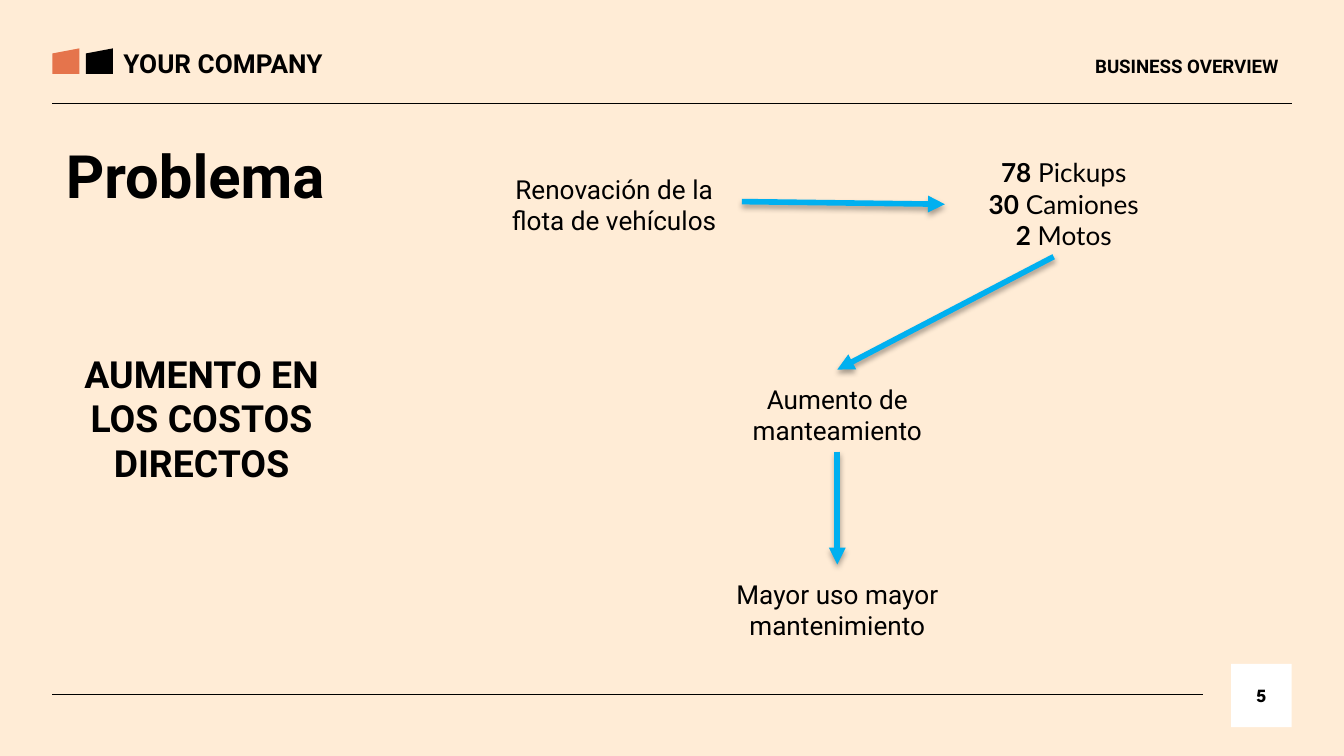
from lxml import etree
from pptx import Presentation
from pptx.dml.color import RGBColor
from pptx.enum.shapes import MSO_CONNECTOR, MSO_SHAPE
from pptx.enum.text import MSO_ANCHOR, PP_ALIGN
from pptx.oxml.ns import qn
from pptx.util import Inches, Pt

LEFT, CENTER, RIGHT = PP_ALIGN.LEFT, PP_ALIGN.CENTER, PP_ALIGN.RIGHT
TOP, MIDDLE = MSO_ANCHOR.TOP, MSO_ANCHOR.MIDDLE
RECTANGLE, SLANTED = MSO_SHAPE.RECTANGLE, MSO_SHAPE.FLOWCHART_MANUAL_INPUT
STRAIGHT = MSO_CONNECTOR.STRAIGHT

COLORS = {"background": "FFECD6", "ink": "000000", "accent": "E5744C",
          "arrow": "00B0F0", "badge": "FFFFFF"}

# Content: text, place (left, top, width, height), format
TITLE = ("Problema", (0.39, 0.93, 4, 0.63), dict(size=32, bold=True))
STEP_SIZE = (1.92, 0.61)
FLOW_X = 5.27
STEPS = [
    ("Renovación de la flota de vehículos", (3.61, 1.19)),
    ("Aumento de manteamiento", (FLOW_X, 2.75)),
    ("Mayor uso mayor mantenimiento", (FLOW_X, 4.2)),
]
LABELS = [
    ("BUSINESS OVERVIEW", (6.89, 0.26, 2.72, 0.47),
     dict(size=10, bold=True, align=RIGHT, anchor=MIDDLE)),
    ("YOUR COMPANY", (0.82, 0.25, 1.87, 0.44), dict(size=14, bold=True)),
    ("AUMENTO EN LOS COSTOS DIRECTOS", (0.38, 2.51, 2.24, 1.33),
     dict(size=20, bold=True, align=CENTER)),
]
FLEET = [("78", " Pickups"), ("30", " Camiones"), ("2", " Motos")]
FLEET_PLACE = (7.03, 1.12, 1.62, 0.79)
PAGE_NUMBER, PAGE_PLACE = "5", (9.16, 4.94, 0.45, 0.47)
MARGIN = 0.39
RULES = [(9.61, 0.77, MARGIN, 0.77), (8.95, 5.17, MARGIN, 5.17)]
FLOW_MIDDLE = FLOW_X + STEP_SIZE[0] / 2
ARROWS = [(5.52, 1.5, 7.03, 1.52), (7.84, 1.91, FLOW_MIDDLE, 2.75),
          (FLOW_MIDDLE, 3.36, FLOW_MIDDLE, 4.2)]
MARK_COLORS = ["accent", "ink"]

# Widescreen 16:9 slide
prs = Presentation()
prs.slide_width = Inches(10)
prs.slide_height = prs.slide_width * 9 // 16
slide = prs.slides.add_slide(prs.slide_layouts[5])


def rgb(name):
    return RGBColor.from_string(COLORS[name])


def inches(values):
    return [Inches(value) for value in values]


def write(shape, paragraphs, size=14, font="Roboto", bold=False,
          align=LEFT, anchor=TOP, margin=0, indent=0):
    """Fill a shape; each paragraph is a string or a list of (text, bold)."""
    frame = shape.text_frame
    frame.word_wrap = True
    frame.vertical_anchor = anchor
    frame.margin_left = frame.margin_right = Inches(0.1)
    frame.margin_top = frame.margin_bottom = Inches(0.1)
    for i, content in enumerate(paragraphs):
        paragraph = frame.add_paragraph() if i else frame.paragraphs[0]
        paragraph.alignment = align
        paragraph.line_spacing = 1.0
        paragraph.space_before = paragraph.space_after = Pt(0)
        if margin:
            properties = paragraph._p.get_or_add_pPr()
            properties.set("marL", str(Inches(margin)))
            properties.set("indent", str(Inches(indent)))
        runs = [(content, bold)] if isinstance(content, str) else content
        for text, is_bold in runs:
            run = paragraph.add_run()
            run.text = text
            run.font.name, run.font.size = font, Pt(size)
            run.font.bold = is_bold
            run.font.color.rgb = rgb("ink")


def add_label(text, place, **style):
    write(slide.shapes.add_textbox(*inches(place)), [text], **style)


def add_block(kind, place, color):
    block = slide.shapes.add_shape(kind, *inches(place))
    block.shadow.inherit = False
    block.fill.solid()
    block.fill.fore_color.rgb = rgb(color)
    block.line.fill.background()
    return block


def add_line(ends, color, width, arrow=False):
    connector = slide.shapes.add_connector(STRAIGHT, *inches(ends))
    connector.line.color.rgb = rgb(color)
    connector.line.width = Pt(width)
    if arrow:
        etree.SubElement(connector.line._get_or_add_ln(), qn("a:tailEnd"),
                         type="triangle")
    effects = etree.SubElement(connector._element.spPr, qn("a:effectLst"))
    if arrow:
        shadow = etree.SubElement(effects, qn("a:outerShdw"), blurRad=str(Pt(3.1)),
                                  dist=str(Pt(1.8)), dir="5400000", rotWithShape="0")
        shade = etree.SubElement(shadow, qn("a:srgbClr"), val=COLORS["ink"])
        etree.SubElement(shade, qn("a:alpha"), val="35000")


# Background and rules
slide.background.fill.solid()
slide.background.fill.fore_color.rgb = rgb("background")
for ends in RULES:
    add_line(ends, "ink", 0.75)

# Title
title_text, title_place, title_style = TITLE
title = slide.shapes.title
title.left, title.top, title.width, title.height = inches(title_place)
write(title, [title_text], **title_style)

# Header, statement and page number
for text, place, style in LABELS:
    add_label(text, place, **style)
for i, color in enumerate(MARK_COLORS):
    add_block(SLANTED, (MARGIN + 0.25 * i, 0.36, 0.2, 0.19), color)
write(add_block(RECTANGLE, PAGE_PLACE, "badge"), [PAGE_NUMBER], size=10,
      font="League Spartan", bold=True, align=CENTER, anchor=MIDDLE)

# Flow of causes
for text, corner in STEPS:
    add_label(text, corner + STEP_SIZE, align=CENTER)
fleet = slide.shapes.add_textbox(*inches(FLEET_PLACE))
write(fleet, [[(count, True), (vehicle, False)] for count, vehicle in FLEET],
      font="Lato", align=CENTER, anchor=MIDDLE, margin=0.5, indent=-0.35)
for ends in ARROWS:
    add_line(ends, "arrow", 3, arrow=True)

prs.save("out.pptx")
